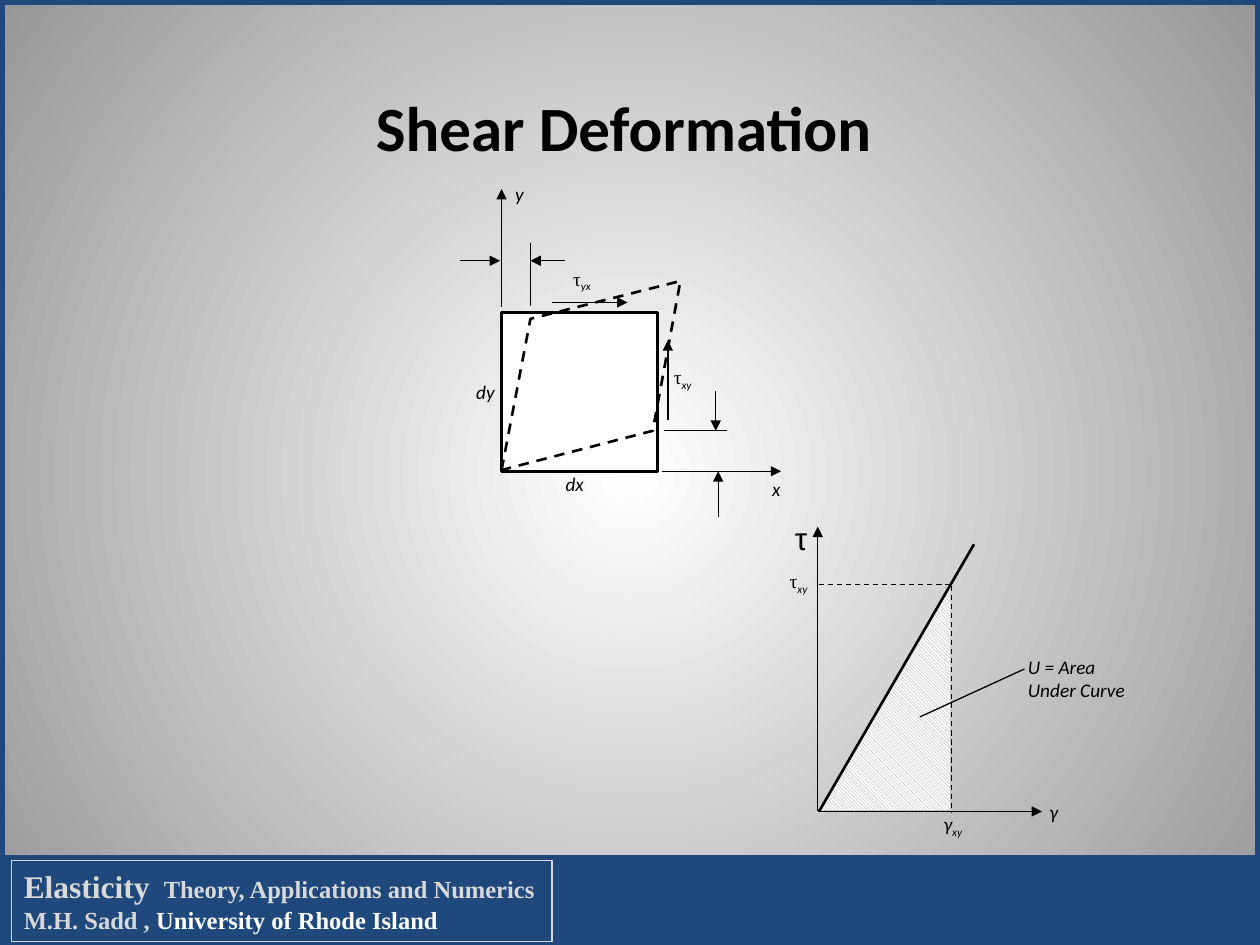
from lxml.etree import SubElement, fromstring
from pptx import Presentation
from pptx.dml.color import RGBColor
from pptx.enum.dml import MSO_LINE, MSO_PATTERN
from pptx.enum.shapes import MSO_CONNECTOR, MSO_SHAPE
from pptx.enum.text import MSO_ANCHOR, PP_ALIGN
from pptx.oxml.ns import nsdecls, qn
from pptx.util import Pt

BLACK = RGBColor(0x00, 0x00, 0x00)
WHITE = RGBColor(0xFF, 0xFF, 0xFF)
GREY = RGBColor(0x96, 0x96, 0x96)
EDGE = RGBColor(0x97, 0x97, 0x97)
PALE = RGBColor(0xD9, 0xD9, 0xD9)
NAVY = RGBColor(0x1F, 0x49, 0x7D)
SANS = "Calibri"
SERIF = "Times New Roman"


def set_back(slide):
    slide.background.fill.solid()
    props = slide.background._cSld.find(qn("p:bg")).find(qn("p:bgPr"))
    props.replace(props[0], fromstring(
        f'<a:gradFill {nsdecls("a")} rotWithShape="1"><a:gsLst>'
        f'<a:gs pos="0"><a:srgbClr val="{WHITE}"/></a:gs>'
        f'<a:gs pos="100000"><a:srgbClr val="{EDGE}"/></a:gs></a:gsLst>'
        '<a:path path="circle"><a:fillToRect l="50000" t="50000" '
        'r="50000" b="50000"/></a:path></a:gradFill>'))


def style(shape, fill, color, width):
    shape.shadow.inherit = False
    if fill is None:
        shape.fill.background()
    else:
        shape.fill.solid()
        shape.fill.fore_color.rgb = fill
    if color is None:
        shape.line.fill.background()
    else:
        shape.line.color.rgb = color
        shape.line.width = Pt(width)


def add_box(shapes, box, fill, color, width):
    shape = shapes.add_shape(MSO_SHAPE.RECTANGLE, *map(Pt, box))
    style(shape, fill, color, width)
    return shape


def add_poly(shapes, points, color=None, width=0):
    start, *rest = [(Pt(x), Pt(y)) for x, y in points]
    pen = shapes.build_freeform(*start)
    pen.add_line_segments(rest, close=True)
    shape = pen.convert_to_shape()
    style(shape, None, color, width)
    return shape


def add_line(shapes, ends, width=0.75, arrow=False, dash=False):
    line = shapes.add_connector(MSO_CONNECTOR.STRAIGHT, *map(Pt, ends))
    line.line.color.rgb = BLACK
    line.line.width = Pt(width)
    if dash:
        line.line.dash_style = MSO_LINE.DASH
    props = line._element.spPr
    if arrow:
        SubElement(props.find(qn("a:ln")), qn("a:tailEnd"), type="triangle")
    SubElement(props, qn("a:effectLst"))


def add_run(par, text, size, face=SANS, color=BLACK, bold=False, slant=False):
    run = par.add_run()
    run.text = text
    font = run.font
    font.size, font.name = Pt(size), face
    font.bold, font.italic = bold, slant
    font.color.rgb = color
    return run


def add_label(shapes, box, text, sub="", face=SANS, size=11):
    frame = shapes.add_textbox(*map(Pt, box)).text_frame
    frame.word_wrap = True
    par = frame.paragraphs[0]
    par.space_after = Pt(10)
    add_run(par, text, size, face, slant=face == SANS)
    if sub:
        run = add_run(par, sub, size, slant=True)
        run._r.get_or_add_rPr().set("baseline", "-25000")


def add_title(shapes):
    frame = shapes.add_textbox(*map(Pt, (110.9, 43.9, 491, 56.9))).text_frame
    frame.word_wrap = True
    frame.vertical_anchor = MSO_ANCHOR.MIDDLE
    par = frame.paragraphs[0]
    par.alignment = PP_ALIGN.CENTER
    add_run(par, "Shear Deformation", 36, bold=True)


def draw_graph(shapes):
    area = add_poly(shapes, [(469.4, 463), (542.9, 334.1), (542.9, 463)])
    area.fill.patterned()
    area.fill.pattern = MSO_PATTERN.DARK_DOWNWARD_DIAGONAL
    area.fill.fore_color.rgb = GREY
    area.fill.back_color.rgb = WHITE
    for end in ((595.4, 463.7), (467.3, 301)):
        add_line(shapes, (467.3, 463.7, *end), arrow=True)
    add_line(shapes, (468, 463.7, 556.6, 311), 1.5)
    add_line(shapes, (468, 334.1, 542.2, 334.1), dash=True)
    add_line(shapes, (543.6, 334.8, 543.6, 464.4), dash=True)
    add_line(shapes, (525.6, 409.7, 585.4, 382.3))
    add_label(shapes, (447.1, 293, 26.6, 27.4), "τ", face="Arial", size=18)
    add_label(shapes, (444.2, 321.8, 26.6, 27.4), "τ", "xy", SERIF)
    add_label(shapes, (592.6, 453.6, 23, 22.3), "γ")
    add_label(shapes, (532.1, 460.8, 27.4, 22.3), "γ", "xy")
    add_label(shapes, (580.3, 370.8, 74.9, 33.1), "U = Area Under Curve")


def draw_block(shapes):
    add_box(shapes, (286.6, 178.6, 89.3, 90.7), WHITE, BLACK, 1.5)
    for ends in ((315.4, 172.8, 358.6, 172.8), (381.6, 239.8, 381.6, 194.4)):
        add_line(shapes, ends, 1, arrow=True)
    for ends in ((409, 223.2, 409, 246.2), (410.4, 295.2, 410.4, 269.3),
                 (378, 269.3, 446.4, 269.3), (286.6, 175.7, 286.6, 108),
                 (322.6, 149, 303.1, 149), (262.8, 149, 285.8, 149)):
        add_line(shapes, ends, arrow=True)
    for ends in ((379.4, 246.2, 415.4, 246.2), (303.1, 175, 303.1, 139)):
        add_line(shapes, ends)
    for text, left, top, width in (("dx", 316.1, 266.4, 27.4),
                                   ("dy", 265, 213.8, 27.4),
                                   ("x", 434.2, 269.3, 23.8),
                                   ("y", 287.3, 100.8, 21.6)):
        add_label(shapes, (left, top, width, 23), text)
    add_label(shapes, (378, 205.2, 31, 27.4), "τ", "xy", SERIF)
    add_label(shapes, (320.4, 149, 31, 27.4), "τ", "yx", SERIF)
    skew = add_poly(shapes, [(286.6, 268.6), (303.1, 182.2), (388.8, 160.6),
                             (373, 246.2)], BLACK, 1.5)
    skew.line.dash_style = MSO_LINE.DASH


def add_footer(shapes):
    add_box(shapes, (0, 0, 720, 540), None, NAVY, 6)
    add_box(shapes, (0, 489.6, 720, 50.4), NAVY, NAVY, 2)
    frame = add_box(shapes, (6.5, 491.8, 308.9, 46.1),
                    None, PALE, 0.75).text_frame
    frame.word_wrap = False
    par = frame.paragraphs[0]
    par.alignment = PP_ALIGN.LEFT
    tabs = SubElement(par._p.get_or_add_pPr(), qn("a:tabLst"))
    SubElement(tabs, qn("a:tab"), pos=str(Pt(80)), algn="l")
    add_run(par, "Elasticity\t", 18, SERIF, PALE, True)
    add_run(par, "Theory, Applications and Numerics", 14, SERIF, PALE, True)
    par.add_line_break()
    add_run(par, "M.H. Sadd , ", 14, SERIF, PALE, True)
    add_run(par, "University of Rhode Island", 14, SERIF, WHITE, True)


def main():
    deck = Presentation()
    deck.slide_width, deck.slide_height = Pt(720), Pt(540)
    slide = deck.slides.add_slide(deck.slide_layouts[6])
    set_back(slide)
    shapes = slide.shapes
    add_title(shapes)
    draw_graph(shapes.add_group_shape().shapes)
    draw_block(shapes.add_group_shape().shapes)
    add_footer(shapes)
    deck.save("out.pptx")


if __name__ == "__main__":
    main()
